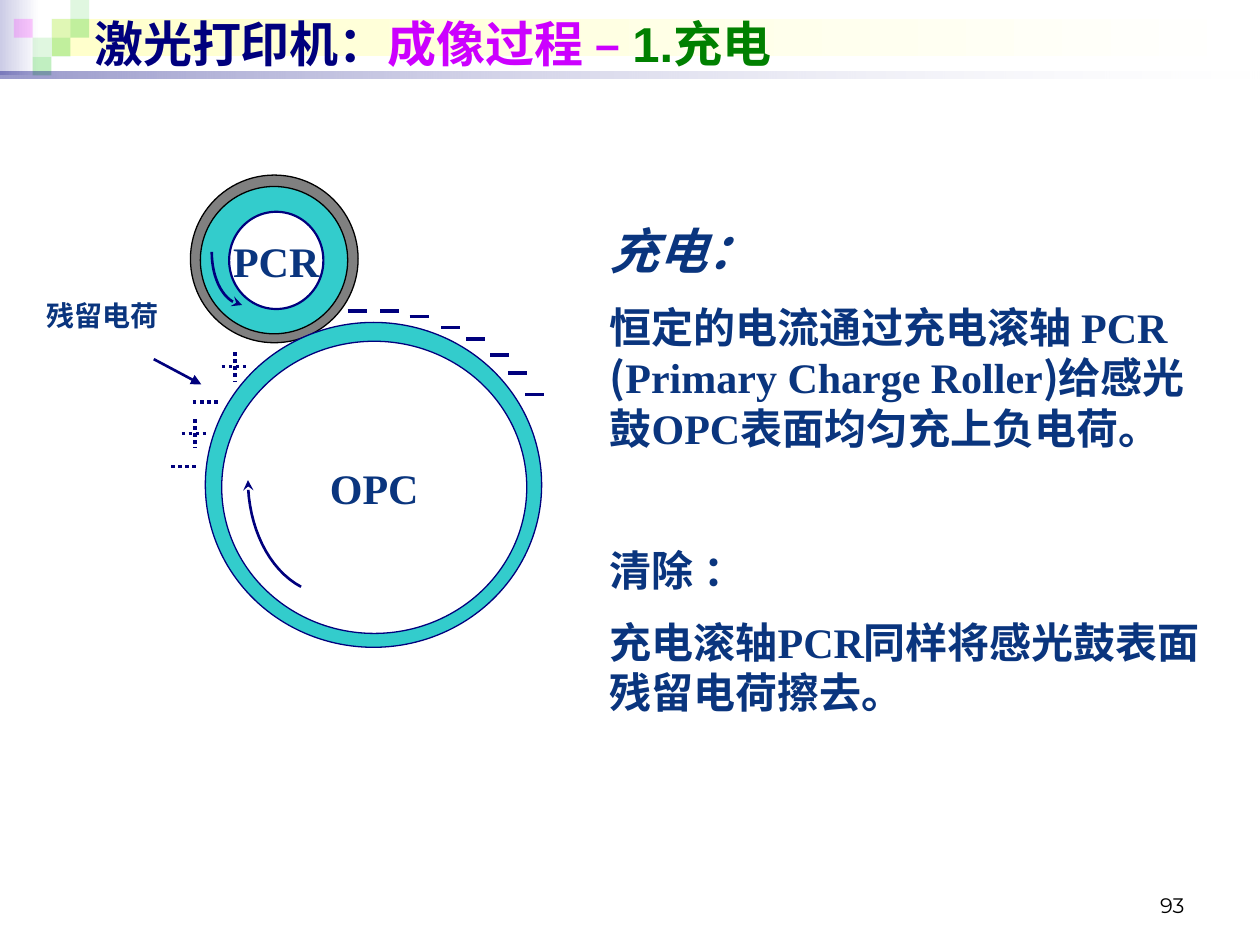
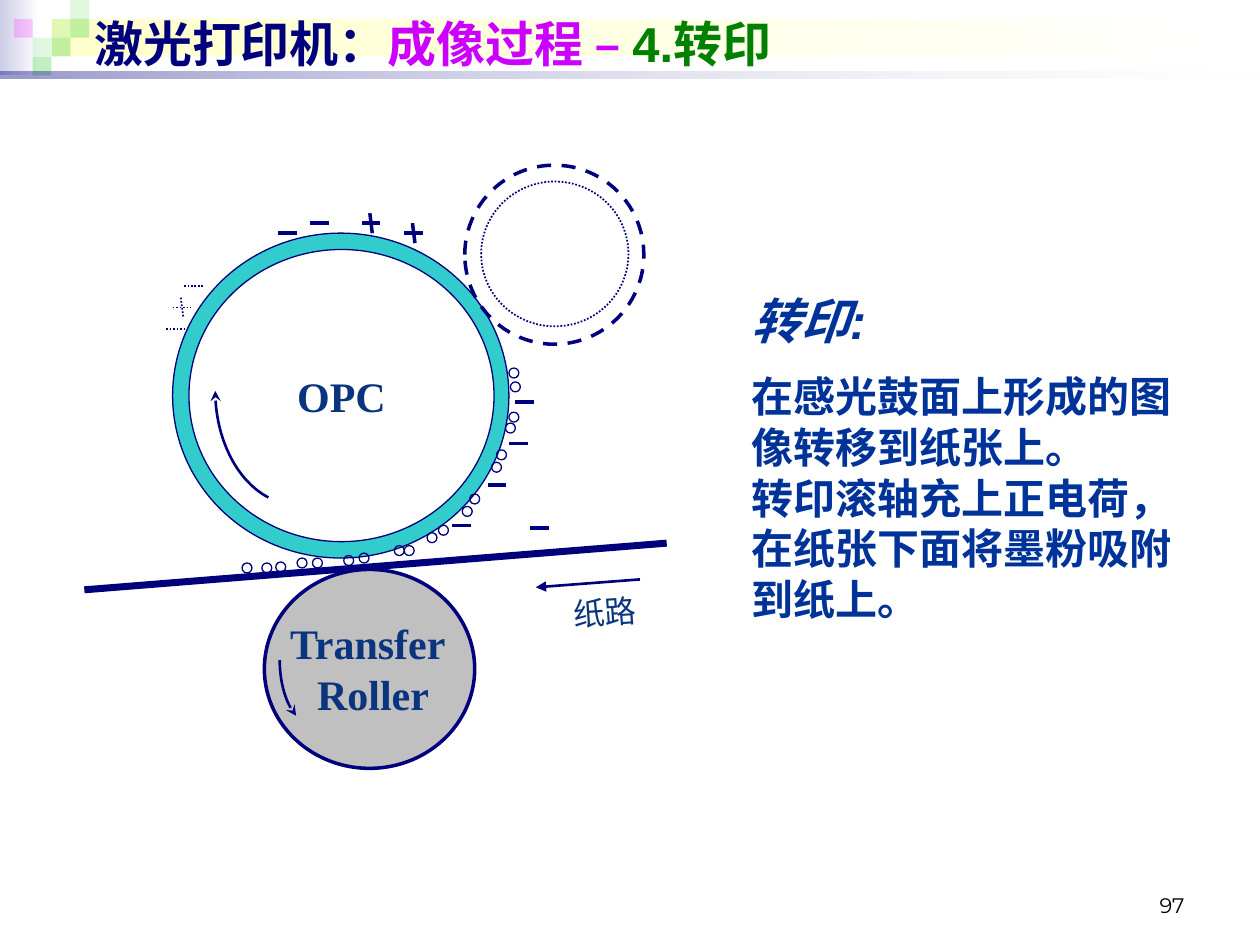
from pptx import Presentation
from pptx import util as u
from pptx.dml.color import RGBColor
from pptx.enum import dml, shapes, text
from pptx.oxml.ns import qn
from pptx.oxml.xmlchemy import OxmlElement

NAVY, INK, BLUE = "00007D", "0A357E", "003399"
CYAN, WHITE, BLACK = "33CCCC", "FFFFFF", "000000"
GREEN, PINK = "33CC33", "FF00FF"
CJK, SERIF, SANS = "Noto Sans CJK SC", "Times New Roman", "Arial"
LEFT, CENTER, RIGHT = text.PP_ALIGN.LEFT, text.PP_ALIGN.CENTER, text.PP_ALIGN.RIGHT
TOP, MIDDLE, BOTTOM = text.MSO_ANCHOR.TOP, text.MSO_ANCHOR.MIDDLE, text.MSO_ANCHOR.BOTTOM
DOT, DASH = dml.MSO_LINE.ROUND_DOT, dml.MSO_LINE.DASH
OVAL, RECT = shapes.MSO_SHAPE.OVAL, shapes.MSO_SHAPE.RECTANGLE
LEADING = 1.21
CHARGE = 0.38
TILE = 0.38


def rgb(color):
    return RGBColor.from_string(color)


def cm(*lengths):
    return [u.Cm(n) for n in lengths]


def element(parent, tag, **attrs):
    child = OxmlElement(tag)
    for name, value in attrs.items():
        child.set(name, str(value))
    parent.append(child)
    return child


class Deck:
    def __init__(self):
        self.prs = Presentation()
        self.prs.slide_width, self.prs.slide_height = cm(25.4, 19.05)

    def slide(self, step, number):
        self.s = self.prs.slides.add_slide(self.prs.slide_layouts[6])
        self.band((0, 0, 0.79, 1.52), ("CCCCE6", WHITE))
        self.band((1.04, 0.38, 24.26, 0.76), ("FFFFCC", WHITE))
        for col, row, color, opacity in [
            (2, 1, GREEN, 15), (3, 0, GREEN, 15), (3, 1, GREEN, 30), (1, 2, GREEN, 15),
            (0, 1, PINK, 20), (2, 2, GREEN, 30), (1, 3, GREEN, 30),
        ]:
            sp = self.shape(RECT, (0.28 + col * TILE, row * TILE, TILE, TILE), color)
            self.opacity(sp, opacity)
        self.band((0, 1.45, 25.4, 0.13), (NAVY, WHITE), (40, 10))
        self.textbox((1.65, 0.13, 22.86, 1.45), [[
            ("激光打印机：", {}),
            ("成像过程 – ", {"color": "CC00FF"}),
            (step, {"color": "008000"}),
        ]], size=28, font=SANS, color=NAVY, anchor=MIDDLE)
        self.textbox((18.21, 17.35, 5.92, 1.27), [number], size=12, font="Montserrat",
                     color=BLACK, bold=False, align=RIGHT, anchor=BOTTOM)

    def opacity(self, sp, *percents):
        for clr, percent in zip(sp._element.spPr.iter(qn("a:srgbClr")), percents):
            element(clr, "a:alpha", val=percent * 1000)

    def outline(self, ln, color, width, dash=None):
        ln.color.rgb = rgb(color)
        ln.width = u.Pt(width)
        if dash:
            ln.dash_style = dash

    def arrowhead(self, ln, kind):
        element(ln._get_or_add_ln(), "a:tailEnd", type=kind)

    def shape(self, kind, at, fill=None, line=None, width=0.75, dash=None):
        sp = self.s.shapes.add_shape(kind, *cm(*at))
        sp.shadow.inherit = False
        if fill:
            sp.fill.solid()
            sp.fill.fore_color.rgb = rgb(fill)
        else:
            sp.fill.background()
        if line:
            self.outline(sp.line, line, width, dash)
        else:
            sp.line.fill.background()
        return sp

    def band(self, at, colors, opacities=()):
        sp = self.shape(RECT, at)
        sp.fill.gradient()
        sp.fill.gradient_angle = 0
        for stop, color in zip(sp.fill.gradient_stops, colors):
            stop.color.rgb = rgb(color)
        self.opacity(sp, *opacities)

    def circle(self, at, fill=None, line=NAVY, width=0.75, dash=None):
        return self.shape(OVAL, at, fill, line, width, dash)

    def line(self, start, end, width=2, dash=None, head=None):
        c = self.s.shapes.add_connector(shapes.MSO_CONNECTOR.STRAIGHT, *cm(*start, *end))
        self.outline(c.line, NAVY, width, dash)
        if head:
            self.arrowhead(c.line, head)
        element(c._element.spPr, "a:effectLst")

    def arc(self, a, b, c, d, steps=16):
        pts = []
        for i in range(steps + 1):
            t = i / steps
            weights = (1 - t) ** 3, 3 * t * (1 - t) ** 2, 3 * t * t * (1 - t), t ** 3
            pts.append([sum(w * v for w, v in zip(weights, axis)) for axis in zip(a, b, c, d)])
        pts = [cm(*pt) for pt in pts]
        builder = self.s.shapes.build_freeform(*pts[0])
        builder.add_line_segments(pts[1:], close=False)
        sp = builder.convert_to_shape()
        sp.shadow.inherit = False
        sp.fill.background()
        self.outline(sp.line, NAVY, 1.5)
        self.arrowhead(sp.line, "stealth")

    def minus(self, x, y, size=CHARGE, width=2, dash=None):
        self.line((x, y), (x + size, y), width, dash)

    def plus(self, x, y, size=CHARGE, width=2, dash=None, slant=0.05):
        self.minus(x, y, size, width, dash)
        mid, half = x + size / 2, size * 0.53
        self.line((mid - slant / 2, y - half), (mid + slant / 2, y + half), width, dash)

    def drum(self, x, y, gap):
        self.circle((x, y, 6.78, 6.55), CYAN)
        core = self.circle((x + 0.33, y + gap, 6.15, 5.89), WHITE)
        self.label(core, "OPC")
        curve = [(1.93, 5.33), (1.27, 4.98), (0.86, 4.11), (0.86, 3.18)]
        self.arc(*[(x + dx, y + dy) for dx, dy in curve])

    def label(self, sp, words):
        self.typeset(sp.text_frame, [words], align=CENTER, anchor=MIDDLE, wrap=False)

    def textbox(self, at, paras, rotation=0, **style):
        sp = self.s.shapes.add_textbox(*cm(*at))
        sp.rotation = rotation
        self.typeset(sp.text_frame, paras, **style)

    def typeset(self, tf, paras, align=LEFT, anchor=TOP, wrap=True, gaps=(), **style):
        tf.word_wrap = wrap
        tf.vertical_anchor = anchor
        for i, runs in enumerate(paras):
            p = tf.paragraphs[0] if i == 0 else tf.add_paragraph()
            p.alignment = align
            if i and gaps:
                p.space_before = u.Pt(gaps[i - 1])
            runs = [(runs, {})] if isinstance(runs, str) else runs
            for words, own in runs:
                look = {**style, **own}
                p.line_spacing = u.Pt(round(look.get("size", 24) * LEADING, 1))
                for n, part in enumerate(words.split("\n")):
                    if n:
                        p.add_line_break()
                    r = p.add_run()
                    r.text = part
                    self.dress(r, **look)

    def dress(self, r, size=24, font=SERIF, color=INK, bold=True, italic=False):
        r.font.size = u.Pt(size)
        r.font.name = font
        r.font.bold = bold
        r.font.italic = italic
        r.font.color.rgb = rgb(color)
        element(r.font._element, "a:ea", typeface=CJK)


def charging(d):
    d.slide("1.充电", "93")
    d.textbox((12.04, 4.32, 12.65, 10.69), [
        [("充电：", {"size": 28, "italic": True})],
        [("恒定的电流通过充电滚轴 PCR ", {}), ("(", {"font": CJK}),
         ("Primary Charge Roller", {}), (")", {"font": CJK}),
         ("给感光鼓OPC表面均匀充上负电荷。", {})],
        "清除 ：",
        "充电滚轴PCR同样将感光鼓表面残留电荷擦去。",
    ], gaps=(12, 52, 12))
    d.circle((3.84, 3.53, 3.38, 3.38), "808080", BLACK)
    d.circle((4.04, 3.76, 2.97, 2.97), CYAN, BLACK)
    d.label(d.circle((4.62, 4.27, 1.9, 1.96), WHITE, width=1.25), "PCR")
    d.arc((4.27, 5.08), (4.27, 5.64), (4.52, 6.1), (4.88, 6.15))
    d.drum(4.14, 6.5, 0.38)
    for x, y in [(7.01, 6.27), (7.67, 6.27), (8.26, 6.38), (8.89, 6.6),
                 (9.4, 6.83), (9.88, 7.16), (10.24, 7.52), (10.59, 7.95)]:
        d.minus(x, y)
    for x, y in [(3.89, 8.1), (3.45, 9.4)]:
        d.minus(x, y, 0.54, dash=DOT)
    for x, y in [(4.47, 7.39), (3.66, 8.74)]:
        d.plus(x, y, 0.54, dash=DOT, slant=0)
    d.textbox((0.69, 5.89, 2.97, 0.94), ["残留电荷"], size=16, font=SANS)
    d.line((3.1, 7.24), (4.06, 7.75), 1.5, head="triangle")


def transfer(d):
    d.slide("4.转印", "97")
    d.textbox((14.91, 5.72, 9.19, 7.09), [
        [("转印:", {"size": 28, "italic": True})],
        "在感光鼓面上形成的图像转移到纸张上。\n转印滚轴充上正电荷，在纸张下面将墨粉吸附到纸上。",
    ], font=SANS, color=BLUE, gaps=(12,))
    d.drum(3.48, 4.7, 0.33)
    for x, y in [(3.71, 5.77), (3.35, 6.63)]:
        d.minus(x, y, width=1, dash=DOT)
    d.plus(3.48, 6.2, width=1, dash=DOT)
    for x, y in [(8.15, 4.7), (7.29, 4.5)]:
        d.plus(x, y)
    for x, y in [(6.25, 4.5), (5.61, 4.7), (10.39, 8.1), (10.26, 8.94),
                 (9.83, 9.78), (9.12, 10.59), (10.69, 10.64)]:
        d.minus(x, y)
    d.circle((9.37, 3.33, 3.61, 3.61), width=2, dash=DASH)
    d.circle((9.7, 3.66, 2.97, 2.92), width=1, dash=DOT)
    d.line((1.7, 11.89), (13.44, 10.95), 4)
    d.circle((5.33, 11.48, 4.24, 4.01), "C0C0C0", width=2)
    d.textbox((5.41, 12.32, 4.01, 2.29), ["Transfer", " Roller"], align=CENTER)
    d.arc((5.64, 13.31), (5.64, 13.77), (5.77, 14.2), (5.97, 14.43))
    for x, y in [(10.26, 7.42), (10.29, 7.7), (10.26, 8.31), (10.19, 8.53), (10.01, 9.07),
                 (9.91, 9.32), (9.47, 9.96), (9.32, 10.21), (8.84, 10.59), (8.61, 10.74),
                 (8.15, 11), (7.95, 11), (7.24, 11.15), (6.93, 11.2), (6.3, 11.25),
                 (5.99, 11.25), (5.56, 11.33), (5.28, 11.35), (4.88, 11.35)]:
        d.circle((x, y, 0.2, 0.2))
    d.line((12.9, 11.68), (10.8, 11.84), 1.5, head="triangle")
    d.textbox((11.3, 11.73, 4.24, 1.02), ["纸路"], rotation=356, size=18, font=SANS, bold=False)


def main():
    d = Deck()
    charging(d)
    transfer(d)
    d.prs.save("out.pptx")


if __name__ == "__main__":
    main()
